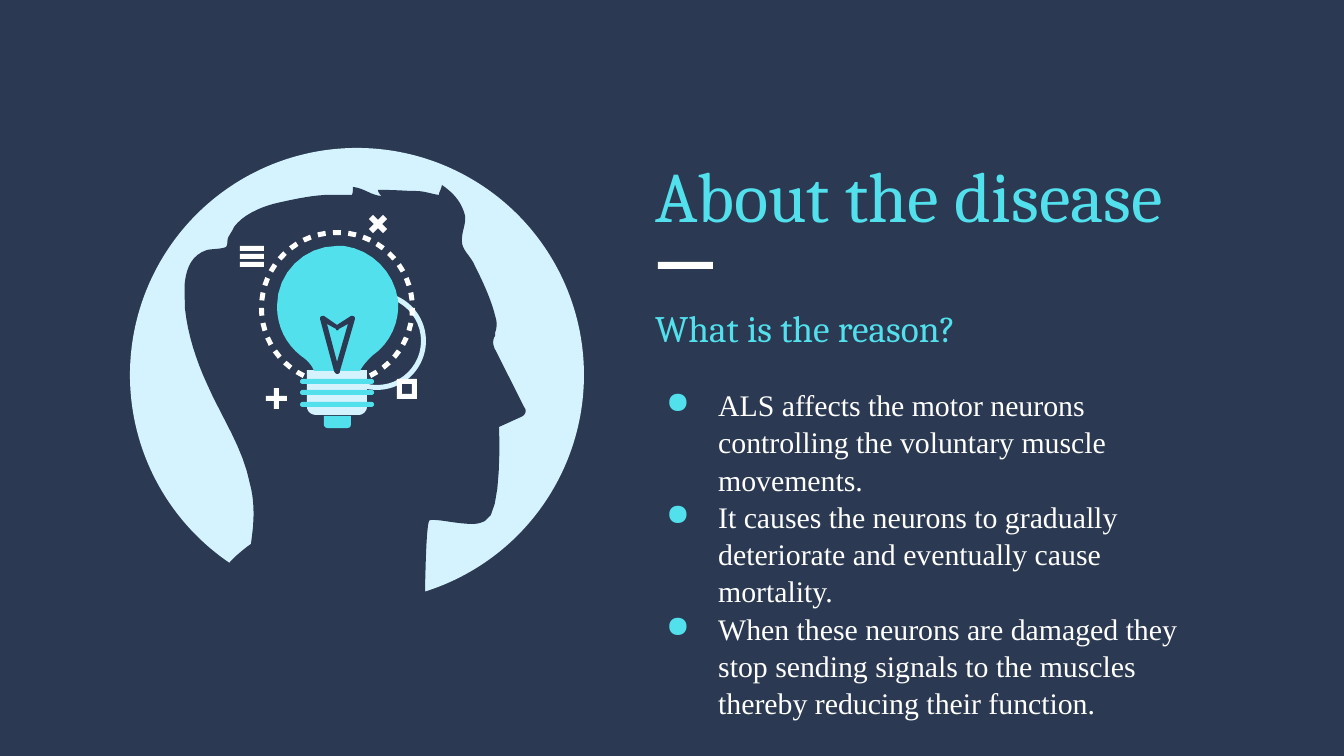
import math

from lxml import etree
from pptx import Presentation
from pptx import util as u
from pptx.dml.color import RGBColor
from pptx.enum import shapes, text
from pptx.oxml.ns import qn

PX = 914400 / 134.4
NAVY = RGBColor(0x2B, 0x3A, 0x52)
CYAN = RGBColor(0x53, 0xE0, 0xED)
PALE = RGBColor(0xD4, 0xF3, 0xFF)
WHITE = RGBColor(0xFF, 0xFF, 0xFF)
KIND = shapes.MSO_SHAPE


def preset(kind, box, color, adjustments=(), rotation=0):
    """Add a plain filled shape; box is left, top, width, height in px."""
    part = slide.shapes.add_shape(kind, *(u.Emu(round(v * PX)) for v in box))
    part.shadow.inherit = False
    part.fill.solid()
    part.fill.fore_color.rgb = color
    part.line.fill.background()
    part.rotation = rotation
    for i, value in enumerate(adjustments):
        part.adjustments[i] = value


def outline(contours, color):
    """Fill closed contours; a step of 2 numbers is a line, of 6 a Bezier curve."""
    builder = None
    for start, *steps in contours:
        points = [start]
        for step in steps:
            x0, y0 = points[-1]
            if len(step) == 2:
                points.append(step)
                continue
            x1, y1, x2, y2, x3, y3 = step
            for n in range(1, 9):
                t = n / 8
                a, b, c, d = (1 - t) ** 3, 3 * t * (1 - t) ** 2, 3 * t * t * (1 - t), t ** 3
                points.append((a * x0 + b * x1 + c * x2 + d * x3,
                               a * y0 + b * y1 + c * y2 + d * y3))
        first, *rest = [(round(x * PX), round(y * PX)) for x, y in points]
        if builder is None:
            builder = slide.shapes.build_freeform(*first, scale=1.0)
        else:
            builder.move_to(*first)
        builder.add_line_segments(rest, close=True)
    part = builder.convert_to_shape()
    part.shadow.inherit = False
    part.fill.solid()
    part.fill.fore_color.rgb = color
    part.line.fill.background()


prs = Presentation()
prs.slide_width = u.Emu(round(1344 * PX))
prs.slide_height = u.Emu(round(756 * PX))
slide = prs.slides.add_slide(prs.slide_layouts[6])
slide.background.fill.solid()
slide.background.fill.fore_color.rgb = NAVY

# Head in profile on a pale disc
preset(KIND.OVAL, (130, 148, 454, 454), PALE)
head = [
    (442, 185), (452, 192, 460, 200, 464, 212), (468, 222, 461, 231, 462, 242),
    (462, 249, 469, 255, 473, 262), (482, 280, 491, 298, 496, 319),
    (497, 323, 497, 328, 495, 333), (495, 336), (492, 340, 493, 347, 496, 351),
    (524, 407), (527, 410, 526, 415, 521, 417), (499, 427),
    (499, 427, 503, 515, 485, 521), (481, 523, 477, 524, 473, 524),
    (458, 524, 442, 520, 434, 520), (431, 520, 430, 520, 429, 521),
    (426, 527, 425, 589, 425, 597), (422, 598, 418, 599, 414, 601),
    (395, 605, 375, 607, 355, 607), (310, 607, 269, 595, 234, 573),
    (231, 571, 228, 570, 226, 567), (231, 560, 241, 551, 251, 544),
    (251, 544, 253, 528, 253, 527), (254, 513, 254, 499, 250, 484),
    (243, 448, 222, 418, 207, 384), (196, 360, 188, 335, 185, 309),
    (185, 300, 184, 290, 185, 281), (187, 267, 192, 255, 207, 250),
    (211, 249, 223, 249, 226, 247), (228, 245, 227, 241, 228, 238),
    (230, 234, 233, 230, 234, 227), (243, 215, 259, 208, 273, 204),
    (290, 200, 308, 196, 325, 195), (352, 195), (353, 192, 353, 190, 353, 187),
    (364, 188, 372, 196, 382, 196), (380, 195, 378, 192, 378, 190), (386, 190),
    (396, 190, 406, 191, 415, 191), (425, 191, 431, 194, 439, 195),
    (439, 192, 441, 190, 442, 185),
]
outline([head], NAVY)

# Rings around the bulb
preset(KIND.DONUT, (328, 292, 98, 98), PALE, [0.05])
dashes = []
for i in range(31):
    middle = math.radians(i * 360 / 31 - 90)
    half = math.radians(3)
    corners = [(78, -half), (78, half), (73, half), (73, -half)]
    dashes.append([(337 + r * math.cos(middle + turn), 308 + r * math.sin(middle + turn))
                   for r, turn in corners])
outline(dashes, WHITE)

# Light bulb
outline([[(367, 404), (367, 407), (367, 411, 363, 415, 359, 415), (316, 415),
          (311, 415, 307, 411, 307, 407), (307, 404)]], PALE)
for i in range(3):
    preset(KIND.RECTANGLE, (307, 370 + 23 * i // 2, 60, 12), PALE)
outline([[(337, 246), (339, 246, 342, 246, 344, 246), (372, 250, 394, 272, 398, 300),
          (400, 321, 391, 343, 372, 356), (368, 360, 363, 365, 360, 371), (314, 371),
          (312, 365, 307, 360, 301, 356), (286, 344, 277, 327, 277, 306),
          (277, 273, 304, 246, 337, 246)]], CYAN)
preset(KIND.ROUND_2_SAME_RECTANGLE, (324, 416, 27, 12), CYAN, [0, 0.28])
outline([[(327, 324), (337, 362), (348, 324), (339, 329), (338, 331, 336, 331, 336, 329)],
         [(352, 316), (354, 316, 355, 317, 355, 319), (340, 371),
          (340, 373, 339, 374, 337, 374), (336, 374, 335, 373, 334, 371), (320, 319),
          (320, 317, 321, 316, 323, 316), (324, 316), (337, 325), (351, 316)]], NAVY)
for i in range(3):
    preset(KIND.ROUNDED_RECTANGLE, (300, 379 + 23 * i // 2, 74, 5), CYAN, [0.5])

# Small symbols: plus, cross, square, stripes
preset(KIND.RECTANGLE, (274, 388, 5, 21), WHITE)
preset(KIND.RECTANGLE, (266, 396, 21, 5), WHITE)
for angle in (45, 315):
    preset(KIND.RECTANGLE, (368, 221, 20, 6), WHITE, rotation=angle)
preset(KIND.FRAME, (397, 379, 20, 20), WHITE, [0.25])
for i in range(3):
    preset(KIND.RECTANGLE, (240, 246 + 8 * i, 24, 5), WHITE)

# Texts
preset(KIND.RECTANGLE, (658, 262, 55, 7), WHITE)
reasons = [
    "ALS affects the motor neurons controlling the voluntary muscle movements.",
    "It causes the neurons to gradually deteriorate and eventually cause mortality.",
    "When these neurons are damaged they stop sending signals to the muscles "
    "thereby reducing their function.",
]
blocks = [
    ((642, 138, 595, 106), ["About the disease"], 38, "Cambria", CYAN, False),
    ((642, 292, 595, 112), ["What is the reason?"], 20, "Cambria", CYAN, False),
    ((638, 372, 595, 371), reasons, 16, "Times New Roman", WHITE, True),
]
for box, lines, size, font, color, bulleted in blocks:
    frame = slide.shapes.add_textbox(*(u.Emu(round(v * PX)) for v in box)).text_frame
    frame.word_wrap = True
    frame.vertical_anchor = text.MSO_ANCHOR.TOP
    frame.margin_left = frame.margin_right = u.Inches(0.1)
    frame.margin_top = frame.margin_bottom = u.Inches(0.1)
    for i, line in enumerate(lines):
        paragraph = frame.add_paragraph() if i else frame.paragraphs[0]
        run = paragraph.add_run()
        run.text = line
        run.font.size = u.Pt(size)
        run.font.name = font
        run.font.color.rgb = color
        if bulleted:
            paragraph.line_spacing = 1.04
            props = paragraph._p.get_or_add_pPr()
            props.set("marL", str(round(67 * PX)))
            props.set("indent", str(round(-52 * PX)))
            tint = etree.SubElement(props, qn("a:buClr"))
            etree.SubElement(tint, qn("a:srgbClr"), val=str(CYAN))
            etree.SubElement(props, qn("a:buChar"), char="●")

prs.save("out.pptx")
